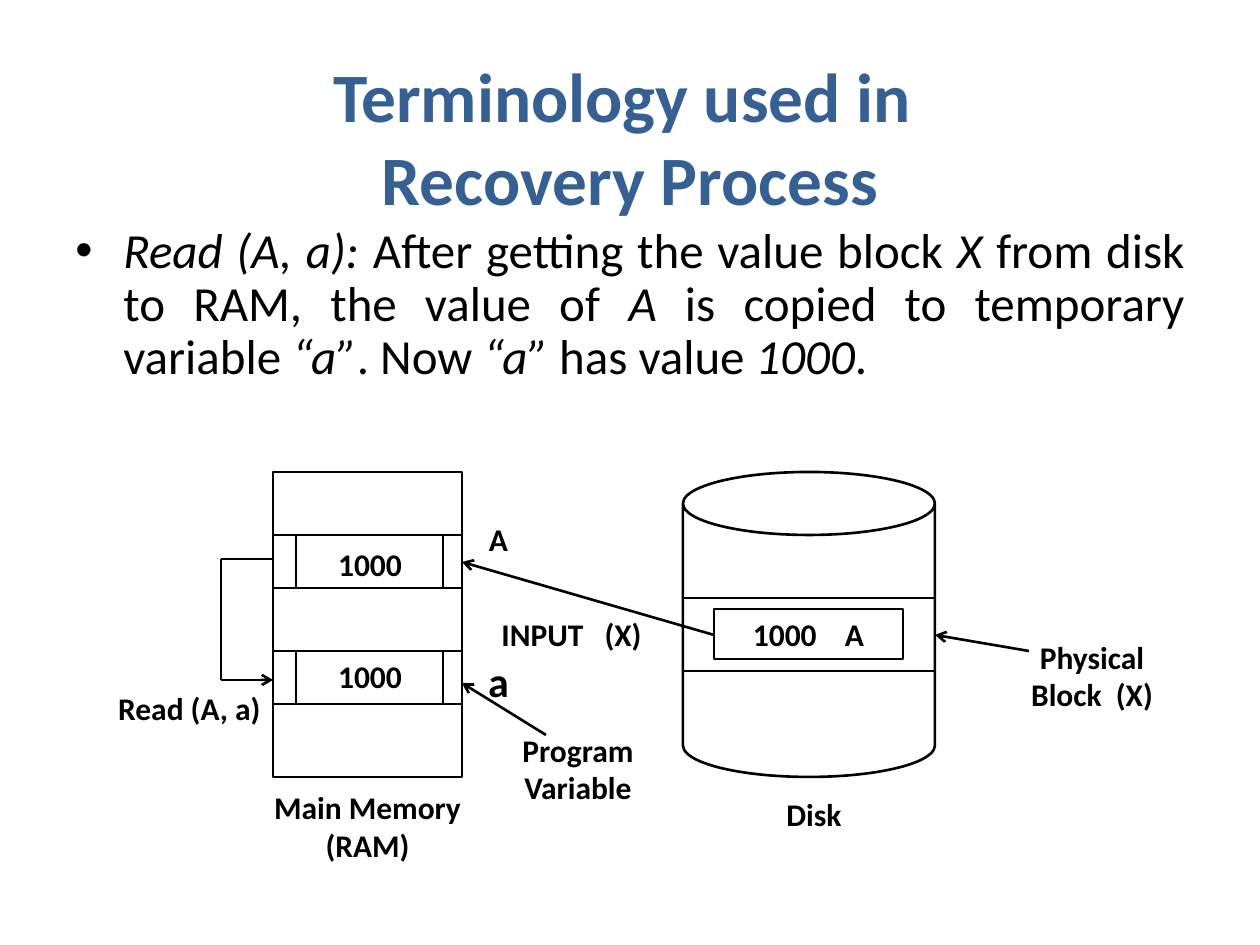
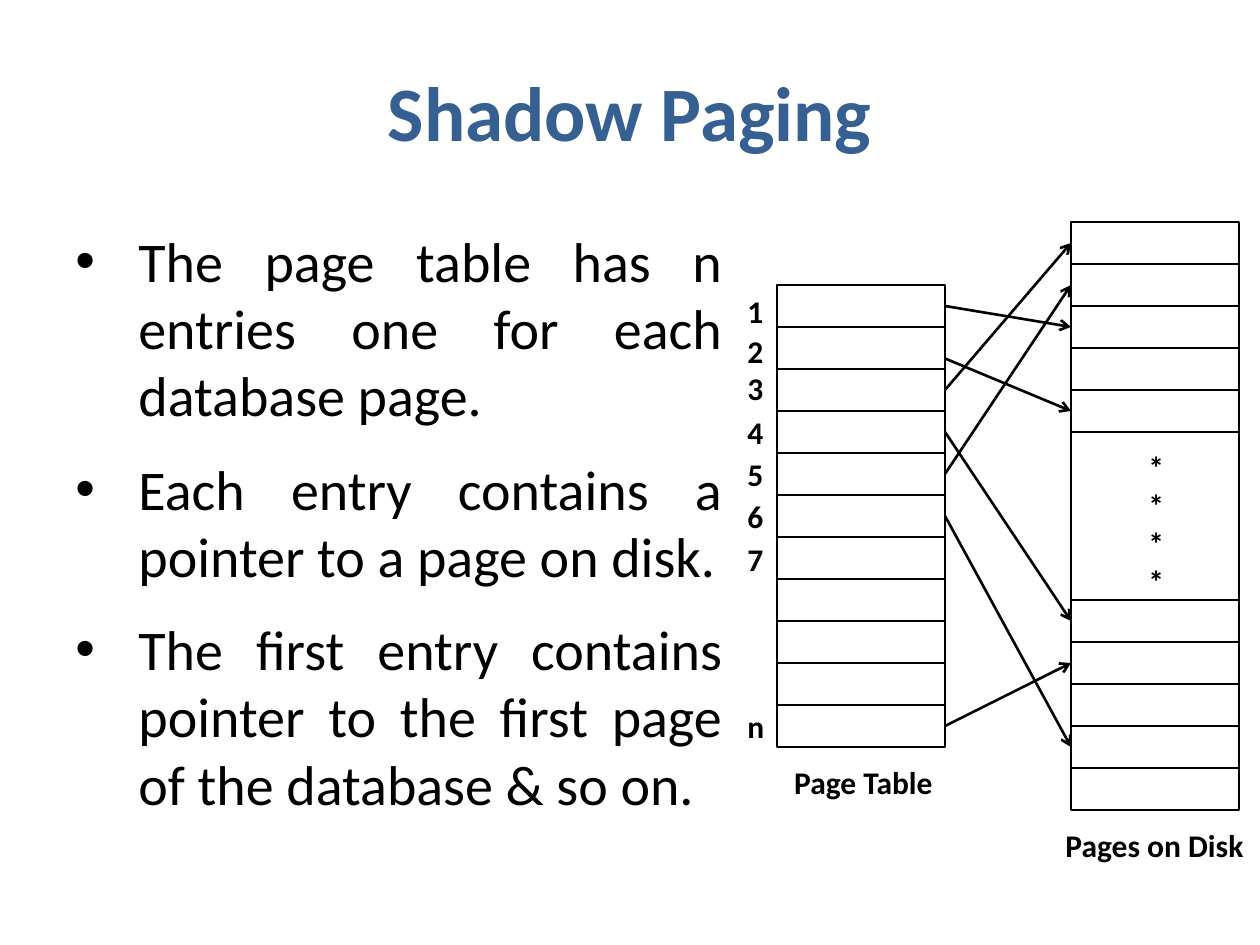
from collections import namedtuple

from lxml import etree
from pptx import Presentation
from pptx.dml.color import RGBColor
from pptx.enum.shapes import MSO_CONNECTOR, MSO_SHAPE
from pptx.enum.text import MSO_ANCHOR, PP_ALIGN
from pptx.oxml.ns import qn
from pptx.util import Pt

PIXEL = 914400 / 126
FONT = "Calibri"
INK = "000000"
TITLE_BLUE = "376092"
LINE_WIDTH = 1.5
LABEL_SIZE = 18
ROW = 42

Box = namedtuple("Box", "left top width height")


def px(length):
    """Turn picture pixels into EMU."""
    return round(length * PIXEL)


def rgb(value):
    """Turn a hex string into a colour."""
    return RGBColor.from_string(value)


def inside(box, dx, dy, width, height):
    """Give a box offset from the corner of another one."""
    return Box(box.left + dx, box.top + dy, width, height)


def add_run(paragraph, text, size, bold=False, italic=False, color=INK, gap=0):
    """Add one run; gap is extra letter spacing in points."""
    run = paragraph.add_run()
    run.text = text
    font = run.font
    font.name, font.size = FONT, Pt(size)
    font.bold, font.italic = bold, italic
    font.color.rgb = rgb(color)
    if gap:
        font._element.set("spc", str(gap * 100))


def text_frame(slide, box, anchor=MSO_ANCHOR.MIDDLE):
    """Add a wrapping text box and give its frame."""
    frame = slide.shapes.add_textbox(*map(px, box)).text_frame
    frame.word_wrap = True
    frame.vertical_anchor = anchor
    return frame


def label(frame, words, size=LABEL_SIZE, align=PP_ALIGN.CENTER, tail="", gap=0):
    """Write a bold label, with an optional tail set off by a widened space."""
    paragraph = frame.paragraphs[0]
    paragraph.alignment = align
    add_run(paragraph, words, size, bold=True)
    if tail:
        add_run(paragraph, " ", size, bold=True, gap=gap)
        add_run(paragraph, tail, size, bold=True)


def outline(slide, box, kind=MSO_SHAPE.RECTANGLE):
    """Draw an unfilled shape with the common black line."""
    shape = slide.shapes.add_shape(kind, *map(px, box))
    shape.shadow.inherit = False
    shape.fill.background()
    shape.line.color.rgb = rgb(INK)
    shape.line.width = Pt(LINE_WIDTH)
    return shape


def line(slide, start, end, arrow=False):
    """Draw a straight line, with an open arrowhead at its end if asked."""
    connector = slide.shapes.add_connector(
        MSO_CONNECTOR.STRAIGHT, *map(px, (*start, *end)))
    connector.line.color.rgb = rgb(INK)
    connector.line.width = Pt(LINE_WIDTH)
    if arrow:
        etree.SubElement(connector.line._get_or_add_ln(), qn("a:tailEnd"), type="arrow")
    etree.SubElement(connector._element.spPr, qn("a:effectLst"))


def title(slide, box, lines, size):
    """Write the centred blue title."""
    paragraph = text_frame(slide, box).paragraphs[0]
    paragraph.alignment = PP_ALIGN.CENTER
    for index, words in enumerate(lines):
        if index:
            paragraph.add_line_break()
        add_run(paragraph, words, size, bold=True, color=TITLE_BLUE)


def bullets(slide, box, items, size, indent, spacing=1.0, before=0):
    """Write justified bullets; each item is a list of (words, italic)."""
    frame = text_frame(slide, box, MSO_ANCHOR.TOP)
    for index, item in enumerate(items):
        paragraph = frame.add_paragraph() if index else frame.paragraphs[0]
        paragraph.alignment = PP_ALIGN.JUSTIFY
        paragraph.line_spacing = spacing
        paragraph.space_before = Pt(before)
        properties = paragraph._p.get_or_add_pPr()
        properties.set("marL", str(px(indent)))
        properties.set("indent", str(-px(indent)))
        etree.SubElement(properties, qn("a:buFont"), typeface="Arial")
        etree.SubElement(properties, qn("a:buChar"), char="•")
        for words, italic in item:
            add_run(paragraph, words, size, italic=italic)


def main_memory(slide, box):
    """Draw RAM with its two variables and the read loop between them."""
    outline(slide, box)
    for slot_top, value_top in ((63, 67), (179, 179)):
        outline(slide, inside(box, 0, slot_top, box.width, 53))
        outline(slide, inside(box, 23, slot_top, 147, 53))
        label(text_frame(slide, inside(box, 29, value_top, 136, 50)), "1000")
    label(text_frame(slide, inside(box, 199, 42, 53, 50)), "A")
    label(text_frame(slide, inside(box, 199, 177, 53, 64)), "a", size=24)
    label(text_frame(slide, inside(box, -21, 310, 231, 89), MSO_ANCHOR.TOP),
          "Main Memory (RAM)")

    loop_left, loop_top, loop_bottom = box.left - 52, box.top + 87, box.top + 208
    line(slide, (box.left, loop_top), (loop_left, loop_top))
    line(slide, (loop_left, loop_top), (loop_left, loop_bottom))
    line(slide, (loop_left, loop_bottom), (box.left, loop_bottom), arrow=True)
    label(text_frame(slide, inside(box, -178, 211, 189, 50)), "Read (A, a)")

    right = box.left + box.width
    line(slide, (right + 84, box.top + 263), (right, box.top + 211), arrow=True)
    label(text_frame(slide, inside(box, 221, 252, 168, 89)), "Program Variable")


def disk(slide, box):
    """Draw the disk with its physical block."""
    outline(slide, box, MSO_SHAPE.CAN)
    outline(slide, inside(box, 0, 126, box.width, 73))
    value = outline(slide, inside(box, 31, 137, 189, 50)).text_frame
    value.vertical_anchor = MSO_ANCHOR.MIDDLE
    label(value, "1000", tail="A", gap=12)
    label(text_frame(slide, inside(box, 63, 317, 136, 50)), "Disk")

    right = box.left + box.width
    line(slide, (right + 94, box.top + 179), (right, box.top + 163), arrow=True)
    label(text_frame(slide, inside(box, 325, 159, 168, 89)),
          "Physical Block", tail="(X)", gap=4)


def input_arrow(slide, memory, store):
    """Draw the transfer of the block from disk to memory."""
    line(slide, (store.left + 31, store.top + 163),
         (memory.left + memory.width, memory.top + 90), arrow=True)
    label(text_frame(slide, inside(memory, 199, 137, 199, 50)),
          "INPUT", tail="(X)", gap=8)


def rows(slide, box, dividers):
    """Draw a column divided at the given row numbers."""
    outline(slide, box)
    for row in dividers:
        y = box.top + row * ROW
        line(slide, (box.left, y), (box.left + box.width, y))


def page_table(slide, box):
    """Draw the page table with its entry numbers."""
    rows(slide, box, range(1, 11))
    offsets = (1, 41, 78, 122, 164, 206, 249, 416)
    for number, offset in zip("1234567n", offsets):
        frame = text_frame(slide, inside(box, -42, offset, 42, 50), MSO_ANCHOR.TOP)
        label(frame, number, align=PP_ALIGN.LEFT)
    label(text_frame(slide, inside(box, -8, 472, 189, 50), MSO_ANCHOR.TOP), "Page Table")


def disk_pages(slide, box):
    """Draw the pages on disk, with stars for those left out."""
    rows(slide, box, (*range(1, 6), *range(9, 14)))
    stars = text_frame(slide, inside(box, 65, 220, 42, 165), MSO_ANCHOR.TOP)
    for index in range(4):
        paragraph = stars.add_paragraph() if index else stars.paragraphs[0]
        add_run(paragraph, "*", LABEL_SIZE, bold=True)
    label(text_frame(slide, inside(box, -22, 598, 211, 50), MSO_ANCHOR.TOP), "Pages on Disk")


def page_pointers(slide, table, pages):
    """Point from the middle of each entry's row to that of its page."""
    targets = {0: 2, 1.25: 4, 2: 0, 3: 9, 4: 1, 5: 12, 10: 10}
    for entry, page in targets.items():
        line(slide, (table.left + table.width, table.top + (entry + 0.5) * ROW),
             (pages.left, pages.top + (page + 0.5) * ROW), arrow=True)


def terminology_slide(slide):
    """Build the slide on reading a value."""
    title(slide, Box(63, 94, 1134, 84), ["Terminology used in ", "Recovery Process"], 39.6)
    explanation = [
        ("Read (A, a):", True), (" After getting the value block ", False),
        ("X", True), (" from disk to RAM, the value of ", False),
        ("A", True), (" is copied to temporary variable ", False),
        ("“a”", True), (". Now ", False), ("“a”", True),
        (" has value ", False), ("1000", True), (".", False)]
    bullets(slide, Box(63, 220, 1134, 231), [explanation], 28, indent=48, spacing=0.9)
    memory, store = Box(273, 472, 189, 305), Box(683, 472, 252, 305)
    main_memory(slide, memory)
    disk(slide, store)
    input_arrow(slide, memory, store)


def shadow_paging_slide(slide):
    """Build the slide on the page table."""
    title(slide, Box(63, 32, 1134, 158), ["Shadow Paging"], 44)
    facts = ["The page table has n entries one for each database page.",
             "Each entry contains a pointer to a page on disk.",
             "The first entry contains pointer to the first page of the database & so on."]
    bullets(slide, Box(63, 220, 672, 683), [[(fact, False)] for fact in facts],
            32, indent=63, before=15)
    table, pages = Box(777, 285, 168, 11 * ROW), Box(1071, 222, 168, 14 * ROW)
    page_table(slide, table)
    disk_pages(slide, pages)
    page_pointers(slide, table, pages)


presentation = Presentation()
presentation.slide_width, presentation.slide_height = px(1260), px(945)
for build in (terminology_slide, shadow_paging_slide):
    build(presentation.slides.add_slide(presentation.slide_layouts[6]))
presentation.save("out.pptx")
